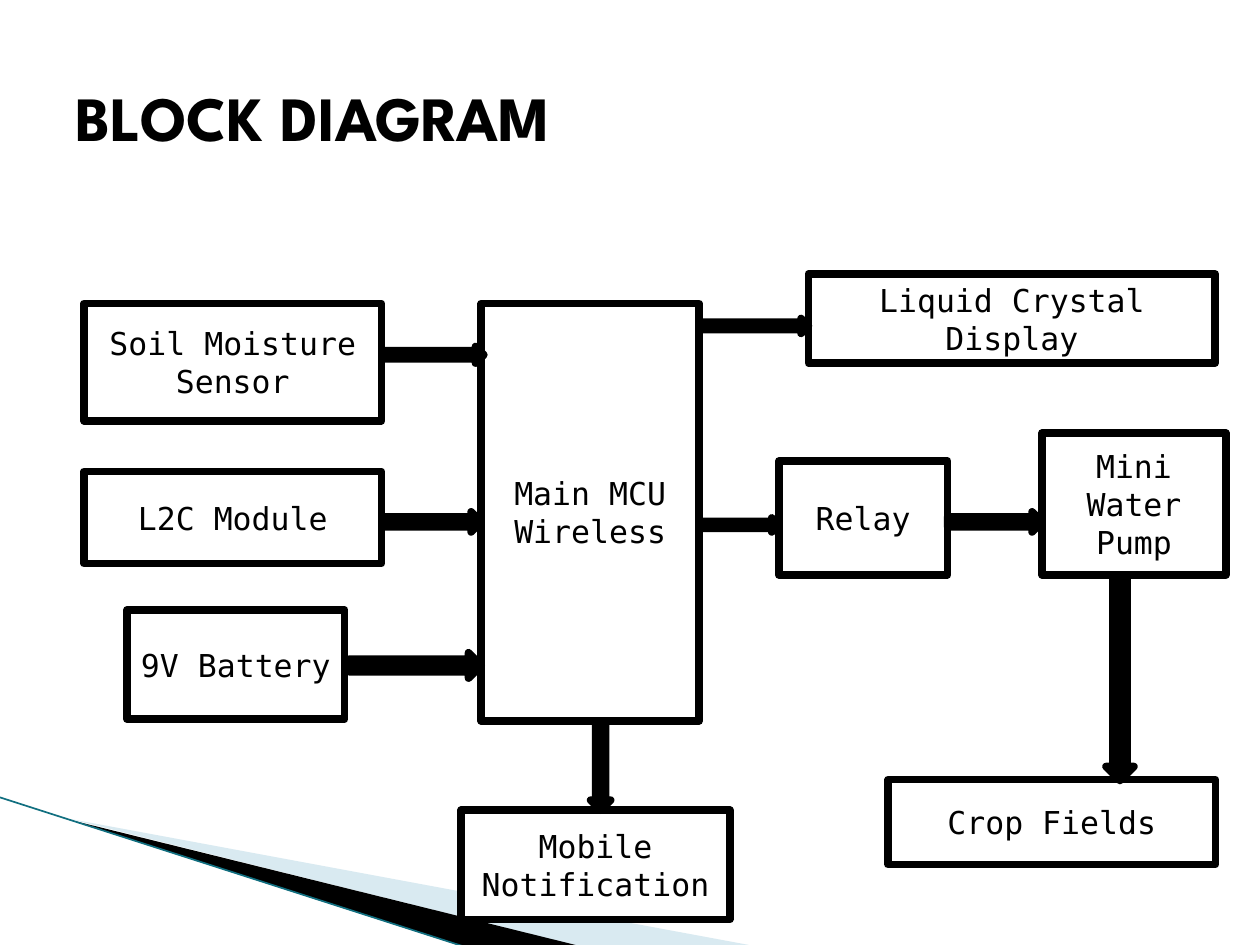
from pptx import Presentation
from pptx.dml.color import RGBColor as RGB
from pptx.enum.shapes import MSO_CONNECTOR as LINK, MSO_SHAPE as KIND
from pptx.enum.text import MSO_ANCHOR as ANCHOR, PP_ALIGN as ALIGN
from pptx.oxml.ns import qn
from pptx.util import Pt
from lxml.etree import SubElement as Sub

HUES = {"ink": "000000", "paper": "FFFFFF", "mist": "A0CBDC", "teal": "116F80"}
MONO = "DejaVu Sans Mono"
HEAD = "League Spartan"

BOXES = [
    ("Main MCU Wireless", 275, 173.5, 124.5, 238.5),
    ("Mobile Notification", 263.5, 463, 153.5, 62.5),
    ("Liquid Crystal Display", 462, 156.5, 232.5, 51),
    ("Relay", 445, 263.5, 96.5, 65),
    ("Mini Water Pump", 595.5, 247.5, 105, 81),
    ("Crop Fields", 507.5, 445.5, 187, 48.5),
    ("9V Battery", 72.5, 348.5, 124.5, 62.5),
    ("Soil Moisture Sensor", 48, 173.5, 170, 67),
    ("L2C Module", 48, 269.5, 170, 52.5),
]
ARROWS = [
    (KIND.RIGHT_ARROW, 199.5, 373, 75.5, 14.5),
    (KIND.DOWN_ARROW, 337.5, 412, 11.5, 51),
    (KIND.RIGHT_ARROW, 399.5, 182, 62.5, 8.5),
    (KIND.RIGHT_ARROW, 399.5, 296, 45.5, 8),
    (KIND.RIGHT_ARROW, 541.5, 292.5, 54, 11.5),
    (KIND.DOWN_ARROW, 632, 328.5, 16, 117.5),
    (KIND.RIGHT_ARROW, 219.5, 198, 57, 9.5),
    (KIND.RIGHT_ARROW, 219.5, 292.5, 55.5, 11.5),
]


def hue(name):
    return RGB.from_string(HUES[name])


def paint(shape, fill):
    shape.shadow.inherit = False
    shape.fill.solid()
    shape.fill.fore_color.rgb = hue(fill)


def write(shape, text, face, size, bold=False, align=ALIGN.LEFT):
    frame = shape.text_frame
    frame.word_wrap = True
    frame.vertical_anchor = ANCHOR.MIDDLE
    frame.text = text
    para = frame.paragraphs[0]
    para.alignment = align
    font = para.runs[0].font
    font.name, font.size, font.bold = face, Pt(size), bold
    font.color.rgb = hue("ink")


def block(slide, kind, area, fill):
    shape = slide.shapes.add_shape(kind, *map(Pt, area))
    paint(shape, fill)
    shape.line.color.rgb = hue("ink")
    shape.line.width = Pt(4.33)
    return shape


def wedge(slide, points, fill, alpha=100):
    outline = slide.shapes.build_freeform(*points[0], scale=Pt(1))
    outline.add_line_segments(points[1:], close=True)
    shape = outline.convert_to_shape()
    paint(shape, fill)
    shape.line.fill.background()
    if alpha < 100:
        color = shape.fill._xPr.find(qn("a:solidFill"))[0]
        Sub(color, qn("a:alpha")).set("val", str(alpha * 1000))


def stroke(slide, ends, color, width):
    line = slide.shapes.add_connector(LINK.STRAIGHT, *map(Pt, ends))
    line.line.color.rgb = hue(color)
    line.line.width = Pt(width)
    Sub(line._element.spPr, qn("a:effectLst"))


def main():
    """Build the block diagram slide."""
    deck = Presentation()
    deck.slide_width, deck.slide_height = Pt(720), Pt(540)
    slide = deck.slides.add_slide(deck.slide_layouts[6])
    wedge(slide, [(39.5, 468.5), (428.5, 540.5), (328.5, 540.5)], "mist", 40)
    wedge(slide, [(38, 467.5), (329, 540.5), (268, 541.5)], "ink")
    stroke(slide, (-0.5, 455.5, 267, 541.5), "teal", 0.95)
    title = slide.shapes.add_textbox(Pt(36), Pt(21.5), Pt(648), Pt(90))
    write(title, "BLOCK DIAGRAM", HEAD, 36, bold=True)
    for text, *area in BOXES:
        box = block(slide, KIND.RECTANGLE, area, "paper")
        write(box, text, MONO, 18, align=ALIGN.CENTER)
    for kind, *area in ARROWS:
        block(slide, kind, area, "ink")
    deck.save("out.pptx")


if __name__ == "__main__":
    main()
